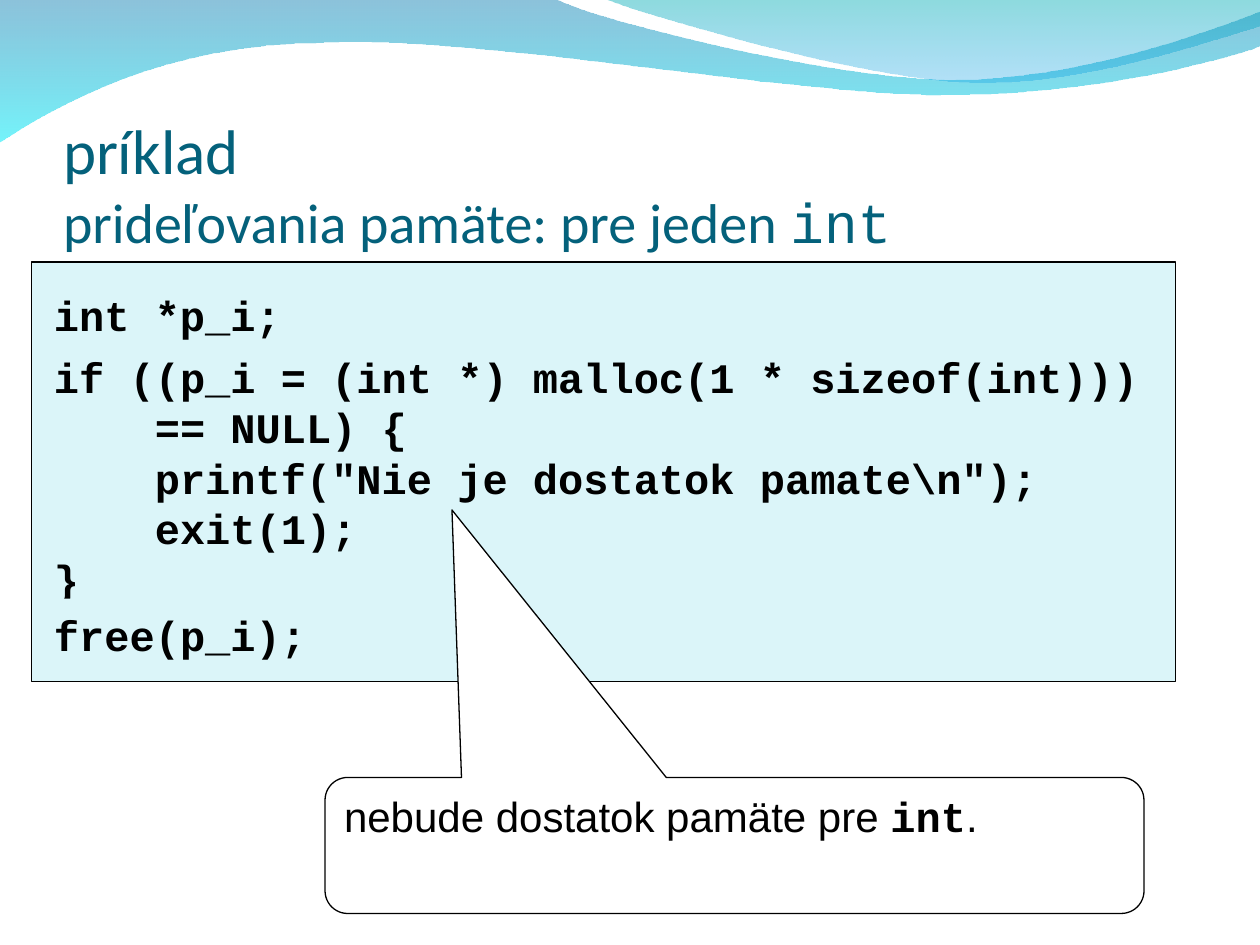
from lxml import etree
from pptx import Presentation
from pptx import util as u
from pptx.dml.color import RGBColor
from pptx.enum import shapes, text
from pptx.oxml.ns import qn

COLORS = {
    "title": "04617B", "panel": "DBF5F9", "black": "000000", "white": "FFFFFF",
    "deep blue": "0079AF", "cyan": "00EBF8", "teal": "00ADB6", "sky": "009BE5",
}
CODE_FONT = "Courier New"


def add_run(paragraph, words, size, font, color, bold=False):
    run = paragraph.add_run()
    run.text = words
    run.font.size = u.Pt(size)
    run.font.name = font
    run.font.bold = bold
    run.font.color.rgb = RGBColor.from_string(COLORS[color])


def add_box(kind, left, top, width, height, fill, outlined=False):
    shape = slide.shapes.add_shape(
        kind, u.Inches(left), u.Inches(top), u.Inches(width), u.Inches(height))
    shape.shadow.inherit = False
    shape.fill.solid()
    shape.fill.fore_color.rgb = RGBColor.from_string(COLORS[fill])
    if outlined:
        shape.line.color.rgb = RGBColor.from_string(COLORS["black"])
        shape.line.width = u.Pt(0.75)
    else:
        shape.line.fill.background()
    return shape


presentation = Presentation()
presentation.slide_width, presentation.slide_height = u.Inches(10), u.Inches(7.5)
slide = presentation.slides.add_slide(presentation.slide_layouts[5])

# Header waves: one point is a line end, three points are a Bezier curve
waves = [
    ([[(0, -0.01)], [(4.4, -0.01)],
      [(4.76, 0.17), (6.64, 0.63), (7.58, 0.63)],
      [(8.53, 0.63), (9.58, 0.26), (10, 0.09)],
      [(10.01, 0.36)],
      [(9.83, 0.44), (8.7, 0.76), (7.46, 0.75)],
      [(6.22, 0.75), (3.82, 0.28), (2.57, 0.34)],
      [(1.29, 0.35), (0.46, 0.83), (-0.01, 1.13)]],
     [("deep blue", 45), ("cyan", 55)]),
    ([[(4.79, -0.01)],
      [(5.09, 0.11), (6.82, 0.62), (7.69, 0.65)],
      [(8.56, 0.69), (9.61, 0.32), (10, 0.21)],
      [(10, -0.01)]],
     [("teal", 45), ("sky", 30)]),
]
for segments, stops in waves:
    ends = [(u.Inches(segment[-1][0]), u.Inches(segment[-1][1])) for segment in segments]
    builder = slide.shapes.build_freeform(*ends[0])
    builder.add_line_segments(ends[1:], close=True)
    wave = builder.convert_to_shape()
    wave.shadow.inherit = False
    wave.line.fill.background()

    # Turn the straight segments that have control points into curves
    lines = list(wave.element.spPr.iter(qn("a:lnTo")))
    for line, segment in zip(lines, segments[1:]):
        if len(segment) == 3:
            line.tag = qn("a:cubicBezTo")
            for index, (x, y) in enumerate(segment[:2]):
                control = etree.Element(
                    qn("a:pt"), x=str(u.Inches(x) - wave.left), y=str(u.Inches(y) - wave.top))
                line.insert(index, control)

    # Translucent vertical gradient
    wave.fill.gradient()
    wave.fill.gradient_angle = 270
    for position, (stop, (color, opacity)) in enumerate(zip(wave.fill.gradient_stops, stops)):
        stop.position = position
        stop.color.rgb = RGBColor.from_string(COLORS[color])
    color_elements = wave.element.spPr.find(qn("a:gradFill")).iter(qn("a:srgbClr"))
    for element, (color, opacity) in zip(color_elements, stops):
        etree.SubElement(element, qn("a:alpha"), val=str(opacity * 1000))

# Title
title = slide.shapes.title
title.left, title.top = u.Inches(0.5), u.Inches(0.77)
title.width, title.height = u.Inches(9), u.Inches(1.25)
frame = title.text_frame
frame.auto_size = text.MSO_AUTO_SIZE.NONE
frame.word_wrap = True
frame.vertical_anchor = text.MSO_ANCHOR.BOTTOM
frame.margin_left = frame.margin_right = frame.margin_bottom = 0
frame.margin_top = u.Inches(0.05)
paragraph = frame.paragraphs[0]
paragraph.alignment = text.PP_ALIGN.LEFT
add_run(paragraph, "príklad", 36, "Calibri", "title")
paragraph.add_line_break()
add_run(paragraph, "prideľovania pamäte: pre jeden ", 32, "Calibri", "title")
add_run(paragraph, "int", 32, CODE_FONT, "title")

# Code panel and its three blocks
rectangle = shapes.MSO_SHAPE.RECTANGLE
add_box(rectangle, 0.25, 2.08, 9.08, 3.33, "panel", outlined=True)
code_blocks = [
    (2.25, 2.97, 0.5, ["int *p_i;"]),
    (2.83, 8.42, 1.92, [
        "if ((p_i = (int *) malloc(1 * sizeof(int)))",
        "    == NULL) {",
        '    printf("Nie je dostatok pamate\\n");',
        "    exit(1);",
        "}"]),
    (4.75, 1.75, 0.58, ["free(p_i);"]),
]
for top, width, height, lines in code_blocks:
    frame = add_box(rectangle, 0.33, top, width, height, "panel").text_frame
    frame.word_wrap = False
    frame.vertical_anchor = text.MSO_ANCHOR.MIDDLE
    for number, line in enumerate(lines):
        paragraph = frame.add_paragraph() if number else frame.paragraphs[0]
        paragraph.alignment = text.PP_ALIGN.LEFT
        add_run(paragraph, line, 24, CODE_FONT, "black", bold=True)

# Callout
callout = add_box(shapes.MSO_SHAPE.ROUNDED_RECTANGULAR_CALLOUT,
                  2.58, 6.17, 6.5, 1.08, "white", outlined=True)
for index, value in enumerate((-0.345, -2.466, 0.167)):
    callout.adjustments[index] = value
frame = callout.text_frame
frame.word_wrap = True
frame.vertical_anchor = text.MSO_ANCHOR.TOP
paragraph = frame.paragraphs[0]
paragraph.alignment = text.PP_ALIGN.LEFT
add_run(paragraph, "nebude dostatok pamäte pre ", 24, "Arial", "black")
add_run(paragraph, "int", 24, CODE_FONT, "black", bold=True)
add_run(paragraph, ".", 24, "Arial", "black")

presentation.save("out.pptx")
